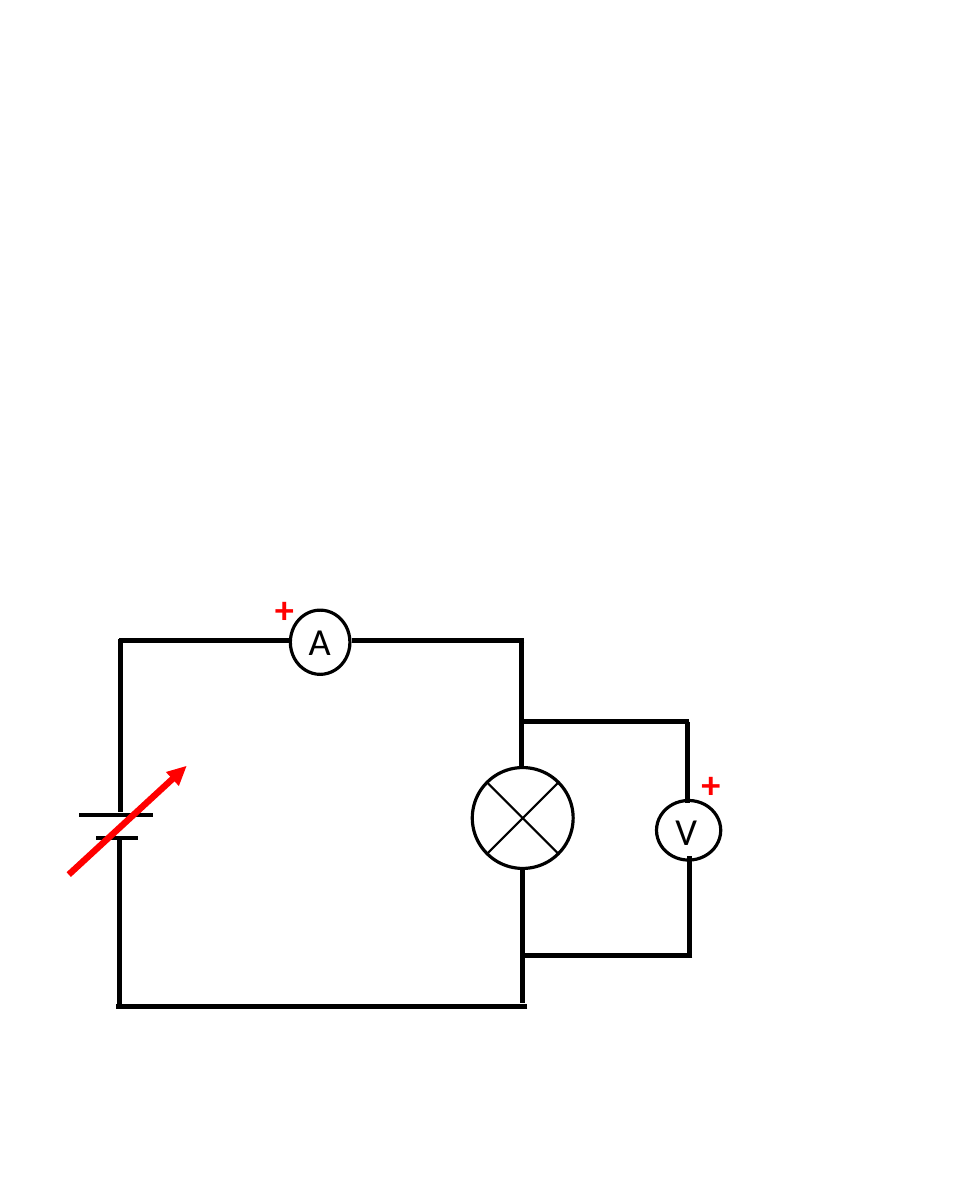
from dataclasses import dataclass
from math import sqrt

from lxml.etree import SubElement
from pptx import Presentation
from pptx.dml.color import RGBColor
from pptx.dml.line import LineFormat
from pptx.enum.shapes import MSO_CONNECTOR, MSO_SHAPE
from pptx.enum.text import MSO_AUTO_SIZE
from pptx.oxml.ns import qn
from pptx.slide import Slide
from pptx.util import Cm, Pt

WIDTH, HEIGHT = Cm(16), Cm(20)
COLUMNS, ROWS = 63, 78.74
BLACK, RED = "000000", "FF0000"
OUTLINE = 1.5


@dataclass(frozen=True)
class Circle:
    """Round circuit symbol, placed by its left column and top row."""
    col: float
    row: float
    cols: float
    rows: float
    rotation: float = 0


@dataclass(frozen=True)
class Label:
    text: str
    col: float
    row: float
    cols: float
    color: str = BLACK
    bold: bool = False


@dataclass(frozen=True)
class Wire:
    col1: float
    row1: float
    col2: float
    row2: float
    weight: float = 2.25
    color: str = BLACK
    arrow: bool = False


AMMETER = Circle(19, 39.9, 3.9, 4.2)
VOLTMETER = Circle(43.1, 52.2, 3.9, 4.2, rotation=270)
BULB = Circle(30.9, 50.2, 6.6, 6.6)

LABELS = [
    Label("V", 43.2, 52.3, 3.4),
    Label("A", 19.2, 39.9, 3.5),
    Label("+", 17, 37.8, 3.3, RED, bold=True),
    Label("+", 44.9, 49.2, 3.3, RED, bold=True),
]

AMMETER_LEADS = [
    Wire(15.3, 41.9, 19, 41.9, OUTLINE),
    Wire(23, 41.9, 26.7, 41.9, OUTLINE),
]
SUPPLY = [
    Wire(7.8, 54.7, 7.8, 65.9),
    Wire(7.9, 41.8, 7.9, 53.1),
    Wire(5.2, 53.3, 10, 53.3),
    Wire(6.3, 54.8, 9, 54.8),
    Wire(4.5, 57.2, 12.2, 50.1, 3, RED, arrow=True),
]
MAIN_LOOP = [
    Wire(19.1, 41.9, 7.8, 41.9),
    Wire(34.3, 41.9, 23, 41.9),
    Wire(34.1, 41.8, 34.1, 50.2),
    Wire(34.2, 56.7, 34.2, 65.6),
    Wire(34.5, 65.8, 7.6, 65.8),
]
VOLTMETER_BRANCH = [
    Wire(45.1, 47.2, 34.3, 47.2),
    Wire(45.3, 62.5, 34, 62.5),
    Wire(45.1, 56, 45.1, 62.5),
    Wire(45, 47.2, 45, 52.5),
]


def x(cols: float) -> int:
    return round(WIDTH * cols / COLUMNS)


def y(rows: float) -> int:
    return round(HEIGHT * rows / ROWS)


def rgb(color: str) -> RGBColor:
    return RGBColor.from_string(color)


def style_line(line: LineFormat, color: str, weight: float) -> None:
    line.color.rgb = rgb(color)
    line.width = Pt(weight)


def draw_circle(slide: Slide, circle: Circle) -> None:
    symbol = slide.shapes.add_shape(
        MSO_SHAPE.OVAL, x(circle.col), y(circle.row), x(circle.cols), y(circle.rows))
    symbol.rotation = circle.rotation
    symbol.shadow.inherit = False
    symbol.fill.background()
    style_line(symbol.line, BLACK, OUTLINE)


def draw_label(slide: Slide, label: Label) -> None:
    frame = slide.shapes.add_textbox(
        x(label.col), y(label.row), x(label.cols), y(4)).text_frame
    frame.word_wrap = False
    frame.auto_size = MSO_AUTO_SIZE.SHAPE_TO_FIT_TEXT
    run = frame.paragraphs[0].add_run()
    run.text = label.text
    run.font.name = "Calibri"
    run.font.size = Pt(18)
    run.font.bold = label.bold
    run.font.color.rgb = rgb(label.color)


def draw_wire(slide: Slide, wire: Wire) -> None:
    connector = slide.shapes.add_connector(
        MSO_CONNECTOR.STRAIGHT, x(wire.col1), y(wire.row1), x(wire.col2), y(wire.row2))
    style_line(connector.line, wire.color, wire.weight)
    properties = connector.element.spPr
    if wire.arrow:
        SubElement(properties.find(qn("a:ln")), qn("a:tailEnd"), type="triangle")
    SubElement(properties, qn("a:effectLst"))


def bulb_cross(bulb: Circle) -> list[Wire]:
    """Two diagonals that end on the bulb's outline."""
    col, row = bulb.col + bulb.cols / 2, bulb.row + bulb.rows / 2
    reach = bulb.cols / 2 / sqrt(2)
    return [Wire(col - reach, row + slope * reach, col + reach, row - slope * reach, 1)
            for slope in (1, -1)]


def main() -> None:
    deck = Presentation()
    deck.slide_width, deck.slide_height = WIDTH, HEIGHT
    slide = deck.slides.add_slide(deck.slide_layouts[6])
    for circle in (VOLTMETER, AMMETER, BULB):
        draw_circle(slide, circle)
    for label in LABELS:
        draw_label(slide, label)
    for wire in AMMETER_LEADS + SUPPLY + MAIN_LOOP + bulb_cross(BULB) + VOLTMETER_BRANCH:
        draw_wire(slide, wire)
    deck.save("out.pptx")


if __name__ == "__main__":
    main()
